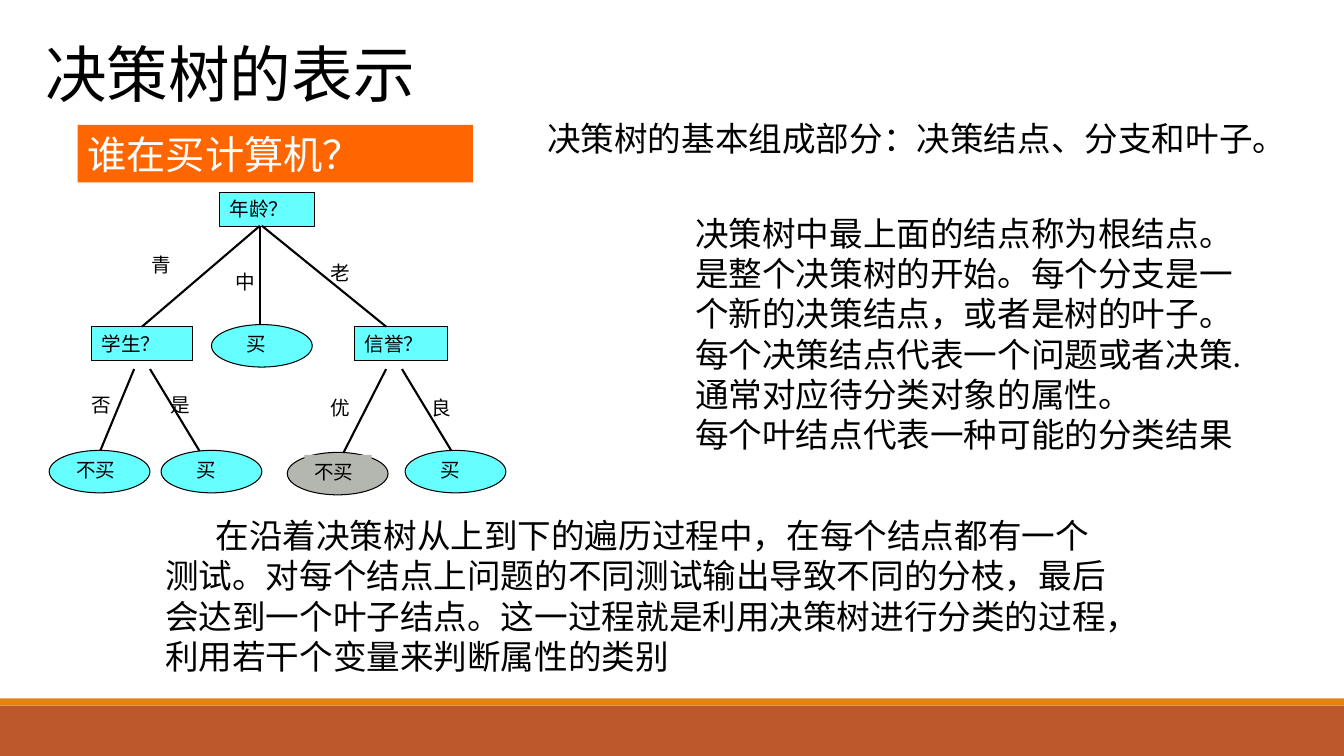
from lxml import etree
from pptx import Presentation
from pptx.dml.color import RGBColor
from pptx.enum.shapes import MSO_CONNECTOR as Link, MSO_SHAPE as Kind
from pptx.enum.text import MSO_ANCHOR as Anchor, MSO_AUTO_SIZE as Fit, PP_ALIGN as Align
from pptx.oxml.ns import qn
from pptx.util import Cm, Pt

BLACK, WHITE, CYAN, GREY = "000000", "FFFFFF", "66FFFF", "B4B6B0"
# All lengths in cm: left, top, width, height
BARS = [("BD582C", (0, 17.78, 33.87, 1.27)), ("E48312", (0, 17.6, 33.87, 0.18))]
TITLE = ("决策树的表示", (0.89, 0.74, 29.21, 2.41))
BANNER = ("谁在买计算机？", (1.96, 3.15, 9.96, 1.45))
PARTS = ("决策树的基本组成部分：决策结点、分支和叶子。", (13.54, 2.84, 19.13, 1.27))
NODES = [
    "决策树中最上面的结点称为根结点。",
    "是整个决策树的开始。每个分支是一",
    "个新的决策结点，或者是树的叶子。",
    "每个决策结点代表一个问题或者决策.",
    "通常对应待分类对象的属性。",
    "每个叶结点代表一种可能的分类结果",
]
WALK = [
    "在沿着决策树从上到下的遍历过程中，在每个结点都有一个",
    "测试。对每个结点上问题的不同测试输出导致不同的分枝，最后",
    "会达到一个叶子结点。这一过程就是利用决策树进行分类的过程，",
    "利用若干个变量来判断属性的类别",
]
TESTS = [  # question, left, top, width
    ("年龄？", 5.54, 4.85, 2.39),
    ("学生？", 2.31, 8.23, 2.54),
    ("信誉？", 8.94, 8.23, 2.34),
]
LEAVES = [  # class, left, top, fill
    ("买", 5.33, 8.18, CYAN),
    ("不买", 1.24, 11.35, CYAN),
    ("买", 10.21, 11.35, CYAN),
    ("买", 4.06, 11.35, CYAN),
    ("不买", 7.24, 11.4, GREY),
]
BRANCHES = [  # answer, label left and top, line start, line end, test it ends at
    ("青", (3.58, 6.25), (6.55, 5.69), (3.58, 8.23), "学生？"),
    ("中", (5.69, 6.68), (6.55, 5.69), (6.55, 8.23), None),
    ("老", (8.08, 6.45), (6.6, 5.69), (9.73, 8.23), None),
    ("否", (2.06, 9.78), (3.38, 9.3), (2.51, 11.4), None),
    ("是", (4.06, 9.78), (3.78, 9.3), (5.05, 11.4), None),
    ("优", (8.08, 9.86), (9.73, 9.3), (8.66, 11.4), None),
    ("良", (10.62, 9.86), (10.13, 9.3), (11.4, 11.4), None),
]

deck = Presentation()
deck.slide_width, deck.slide_height = Cm(33.87), Cm(19.05)
slide = deck.slides.add_slide(deck.slide_layouts[6])
shapes = slide.shapes


def color(code):
    return RGBColor.from_string(code)


def write(shape, lines, size, ink=BLACK, wrap=True, align=Align.LEFT):
    frame = shape.text_frame
    frame.word_wrap = wrap
    frame.auto_size = Fit.SHAPE_TO_FIT_TEXT
    frame.vertical_anchor = Anchor.TOP
    for i, line in enumerate(lines):
        para = frame.paragraphs[0] if i == 0 else frame.add_paragraph()
        para.alignment = align
        run = para.add_run()
        run.text = line
        run.font.size, run.font.name = Pt(size), "Calibri"
        run.font.color.rgb = color(ink)
    return frame


def block(kind, box, fill, edge=False):
    shape = shapes.add_shape(kind, *map(Cm, box))
    shape.shadow.inherit = False
    shape.fill.solid()
    shape.fill.fore_color.rgb = color(fill)
    if edge:
        shape.line.color.rgb = color(BLACK)
        shape.line.width = Pt(0.75)
    else:
        shape.line.fill.background()
    return shape


def note(box, lines, size, **style):
    return write(shapes.add_textbox(*map(Cm, box)), lines, size, **style)


for fill, box in BARS:
    block(Kind.RECTANGLE, box, fill)

text, box = TITLE
frame = note(box, [text], 44)
frame.auto_size = Fit.NONE
frame.vertical_anchor = Anchor.MIDDLE
frame.paragraphs[0].line_spacing = 0.9

text, box = BANNER
write(block(Kind.RECTANGLE, box, "FF6600"), [text], 28, WHITE)

text, box = PARTS
note(box, [text], 24, wrap=False)
note((17.27, 5.23, 14.4, 6.4), NODES, 24, wrap=False, align=Align.JUSTIFY)
frame = note((3.91, 12.85, 25.43, 4.37), WALK, 24, align=Align.JUSTIFY)
first = frame.paragraphs[0]._p.get_or_add_pPr()
first.set("marL", "0")
first.set("indent", str(Cm(1.27)))

tests = {}
for text, left, top, width in TESTS:
    tests[text] = block(Kind.RECTANGLE, (left, top, width, 0.86), CYAN, True)
    write(tests[text], [text], 14)

for answer, spot, start, end, test in BRANCHES:
    line = shapes.add_connector(Link.STRAIGHT, *map(Cm, start + end))
    line.line.color.rgb = color(BLACK)
    line.line.width = Pt(1.5)
    etree.SubElement(line._element.spPr, qn("a:effectLst"))
    if test:
        line.end_connect(tests[test], 0)
    note(spot + (1.02, 0.84), [answer], 14, wrap=False)

for text, left, top, fill in LEAVES:
    block(Kind.OVAL, (left, top, 2.54, 1.07), fill, True)
    inset = 0.64 if len(text) == 1 else 0.43
    box = (left + inset, top + 0.06, 1.7, 0.84)
    if fill == GREY:
        write(block(Kind.RECTANGLE, box, fill), [text], 14)
    else:
        note(box, [text], 14)

deck.save("out.pptx")
